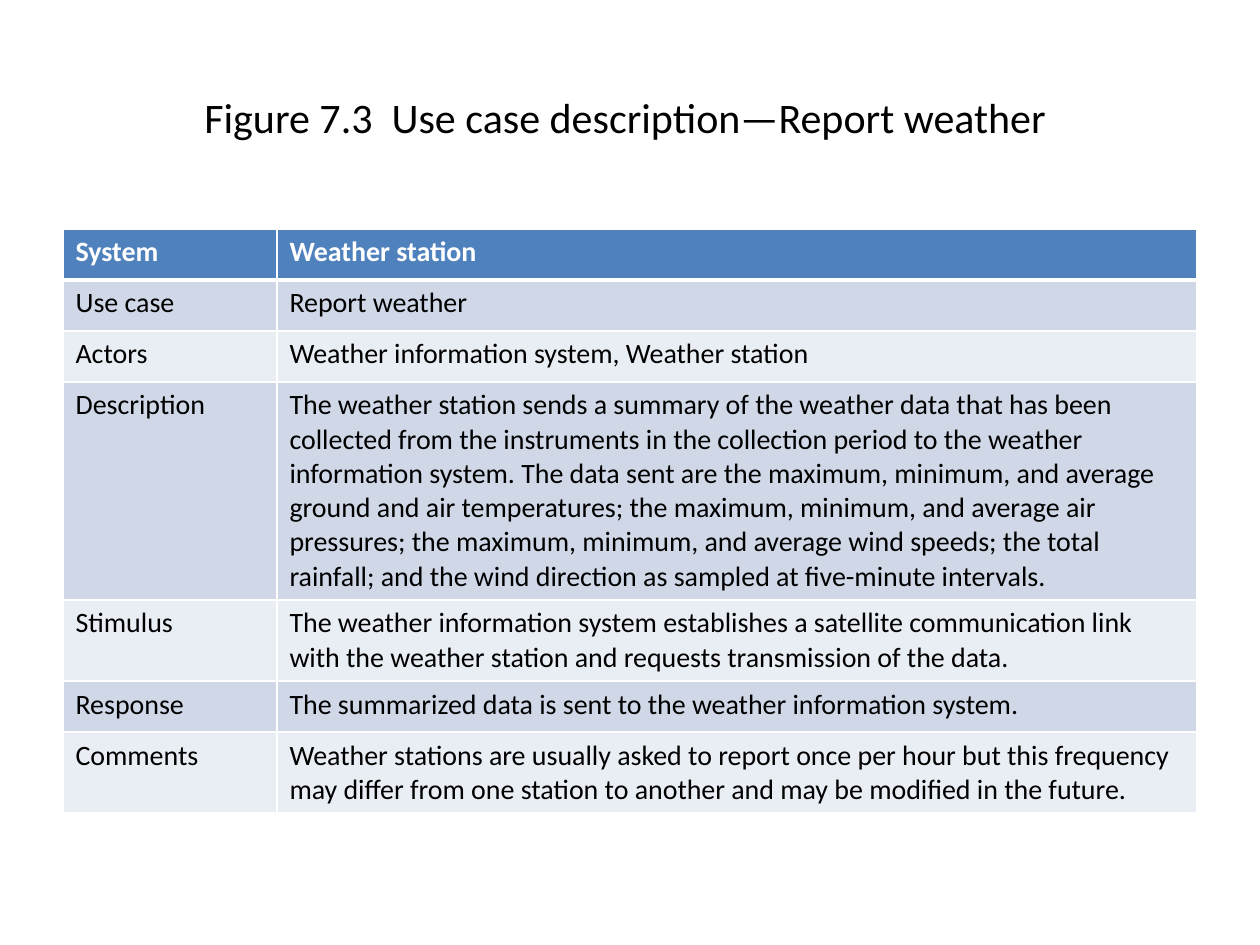
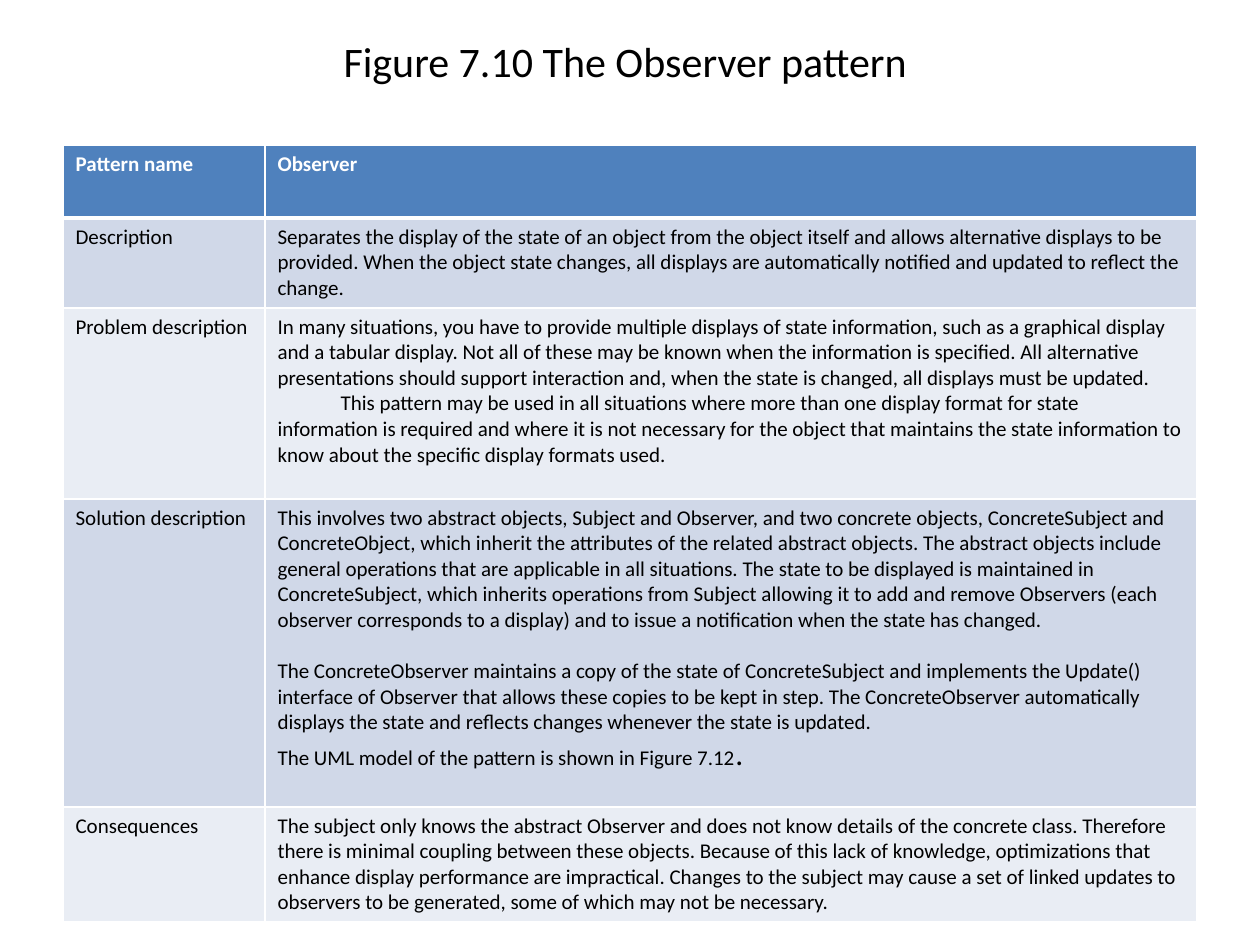
"""Build two slides, each a title above a two-column table."""
from lxml import etree
from pptx import Presentation, util as u
from pptx.dml.color import RGBColor
from pptx.enum import text as t
from pptx.oxml import ns

SLIDES = [
    {
        "title": "Figure 7.3  Use case description—Report weather ",
        "title_top": 38, "top": 229, "size": 16,
        "cols": (214, 920), "rows": (51, 51, 51, 218, 81, 51, 81),
        "cells": [
            ("System", "Weather station"),
            ("Use case", "Report weather"),
            ("Actors", "Weather information system, Weather station"),
            ("Description", "The weather station sends a summary of the weather data that has been collected from the instruments in the collection period to the weather information system. The data sent are the maximum, minimum, and average ground and air temperatures; the maximum, minimum, and average air pressures; the maximum, minimum, and average wind speeds; the total rainfall; and the wind direction as sampled at five-minute intervals."),
            ("Stimulus", "The weather information system establishes a satellite communication link with the weather station and requests transmission of the data."),
            ("Response", "The summarized data is sent to the weather information system."),
            ("Comments", "Weather stations are usually asked to report once per hour but this frequency may differ from one station to another and may be modified in the future."),
        ],
    },
    {
        "title": "Figure 7.10 The Observer pattern ",
        "title_top": -18, "top": 145, "size": 12,
        "cols": (202, 932), "rows": (73, 90, 191, 308, 115),
        "cells": [
            ("Pattern name", "Observer"),
            ("Description", "Separates the display of the state of an object from the object itself and allows alternative displays to be provided. When the object state changes, all displays are automatically notified and updated to reflect the change."),
            ("Problem description", [
                {"text": "In many situations, you have to provide multiple displays of state information, such as a graphical display and a tabular display. Not all of these may be known when the information is specified. All alternative presentations should support interaction and, when the state is changed, all displays must be updated."},
                {"text": "This pattern may be used in all situations where more than one display format for state information is required and where it is not necessary for the object that maintains the state information to know about the specific display formats used.", "indent": 63},
            ]),
            ("Solution description", [
                {"text": "This involves two abstract objects, Subject and Observer, and two concrete objects, ConcreteSubject and ConcreteObject, which inherit the attributes of the related abstract objects. The abstract objects include general operations that are applicable in all situations. The state to be displayed is maintained in ConcreteSubject, which inherits operations from Subject allowing it to add and remove Observers (each observer corresponds to a display) and to issue a notification when the state has changed."},
                {"text": "The ConcreteObserver maintains a copy of the state of ConcreteSubject and implements the Update() interface of Observer that allows these copies to be kept in step. The ConcreteObserver automatically displays the state and reflects changes whenever the state is updated.", "before": 14.6},
                {"text": "The UML model of the pattern is shown in Figure 7.12", "tail": (".", 18)},
            ]),
            ("Consequences", "The subject only knows the abstract Observer and does not know details of the concrete class. Therefore there is minimal coupling between these objects. Because of this lack of knowledge, optimizations that enhance display performance are impractical. Changes to the subject may cause a set of linked updates to observers to be generated, some of which may not be necessary."),
        ],
    },
]

FONT, BLACK, WHITE = "Calibri", "000000", "FFFFFF"
HEAD, BANDS = "4F81BD", ("E9EDF4", "D0D8E8")
LEFT, WIDTH, TITLE_H = 63, 1134, 158
THIN, THICK = 1, 3


def px(n):
    """Turn pixels into EMU."""
    return u.Emu(round(n * 914400 / 126))


def rgb(code):
    """Turn a hex string into a colour."""
    return RGBColor.from_string(code)


def put(par, words, size, color=BLACK, bold=False):
    """Add one formatted run to a paragraph."""
    run = par.add_run()
    run.text = words
    font = run.font
    font.name, font.size, font.bold = FONT, u.Pt(size), bold
    font.color.rgb = rgb(color)


def edge(cell, **sides):
    """Draw white cell borders of the given widths in points."""
    props = cell._tc.get_or_add_tcPr()
    for side in "LRTB":
        line = etree.SubElement(props, ns.qn("a:ln" + side), w=str(u.Pt(sides.get(side, THIN))))
        fill = etree.SubElement(line, ns.qn("a:solidFill"))
        etree.SubElement(fill, ns.qn("a:srgbClr"), val=WHITE)


def write(frame, body, **form):
    """Fill a text frame with a string or a list of paragraph dicts."""
    items = [{"text": body}] if isinstance(body, str) else body
    for i, item in enumerate(items):
        par = frame.add_paragraph() if i else frame.paragraphs[0]
        if "indent" in item:
            par._p.get_or_add_pPr().set("indent", str(px(item["indent"])))
        if "before" in item:
            par.space_before = u.Pt(item["before"])
        put(par, item["text"], **form)
        if "tail" in item:
            words, size = item["tail"]
            put(par, words, **{**form, "size": size})


def head(slide, data):
    """Place and write the title."""
    box = slide.shapes.title
    box.left, box.top, box.width, box.height = map(px, (LEFT, data["title_top"], WIDTH, TITLE_H))
    frame = box.text_frame
    frame.vertical_anchor = t.MSO_ANCHOR.MIDDLE
    frame.paragraphs[0].alignment = t.PP_ALIGN.CENTER
    write(frame, data["title"], size=24)


def grid(slide, data):
    """Draw the table with its header row and bands."""
    cells, rows, cols = data["cells"], data["rows"], data["cols"]
    where = map(px, (LEFT, data["top"], WIDTH, sum(rows)))
    table = slide.shapes.add_table(len(rows), len(cols), *where).table
    for col, wide in zip(table.columns, cols):
        col.width = px(wide)
    for r, (row, high) in enumerate(zip(table.rows, rows)):
        row.height = px(high)
        top = r == 0
        for cell, body in zip(row.cells, cells[r]):
            edge(cell, T=THICK if r == 1 else THIN, B=THICK if top else THIN)
            cell.fill.solid()
            cell.fill.fore_color.rgb = rgb(HEAD if top else BANDS[r % 2])
            write(cell.text_frame, body, size=data["size"],
                  color=WHITE if top else BLACK, bold=top)


def main():
    """Build and save the deck."""
    deck = Presentation()
    deck.slide_width, deck.slide_height = px(1260), px(945)
    for data in SLIDES:
        slide = deck.slides.add_slide(deck.slide_layouts[5])
        head(slide, data)
        grid(slide, data)
    deck.save("out.pptx")


if __name__ == "__main__":
    main()
